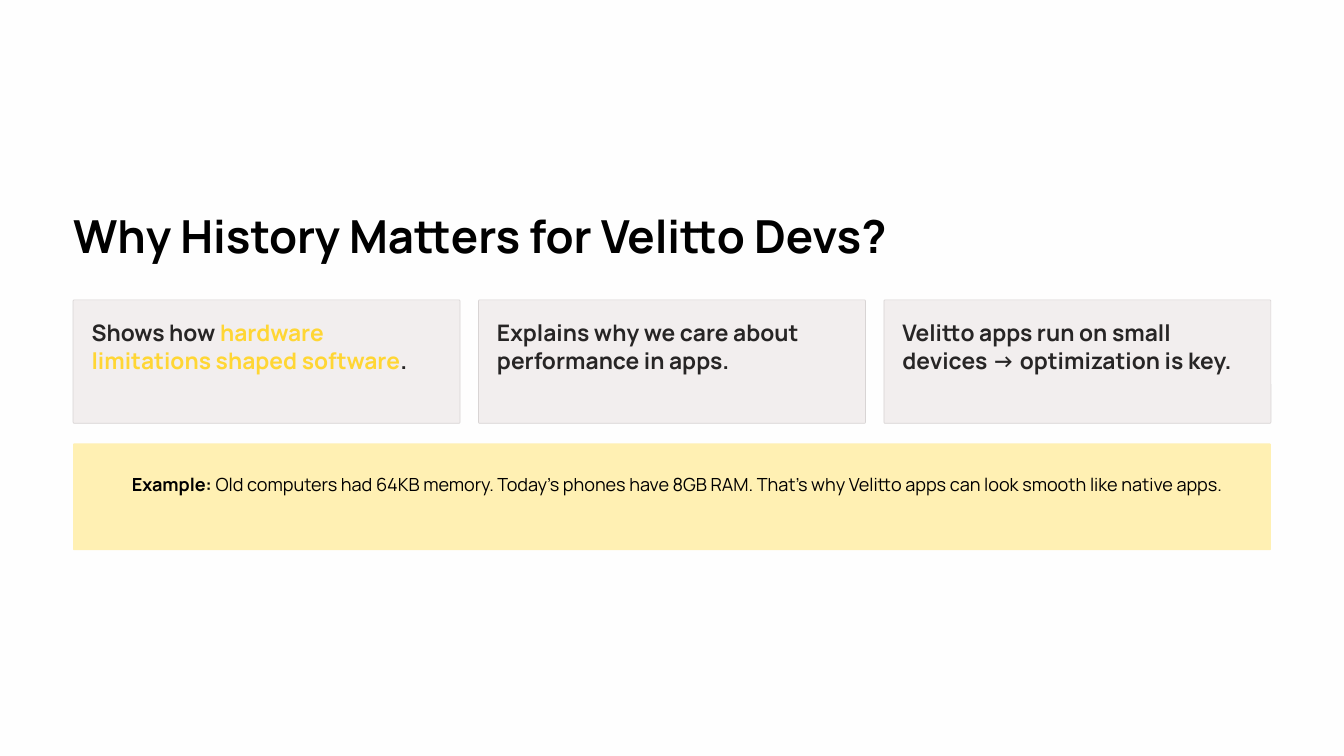
from pptx import Presentation
from pptx.dml.color import RGBColor
from pptx.enum.shapes import MSO_SHAPE
from pptx.enum.text import MSO_ANCHOR, PP_ALIGN
from pptx.util import Inches, Pt

ROUNDED = MSO_SHAPE.ROUNDED_RECTANGLE
TOP = MSO_ANCHOR.TOP
LEFT = PP_ALIGN.LEFT

FONT = "Manrope"
BLACK, INK, YELLOW = "000000", "272525", "FFD634"
MARGIN, CONTENT_WIDTH = 0.87, 14.26
CARD_GAP = 0.22

TITLE = "Why History Matters for Velitto Devs?"
CARDS = [
    [("Shows how ", INK), ("hardware limitations shaped software", YELLOW), (".", INK)],
    [("Explains why we care about performance in apps.", INK)],
    [("Velitto apps run on small devices → optimization is key.", INK)],
]
EXAMPLE = [
    ("Example:", BLACK, True),
    (" Old computers had 64KB memory. Today's phones have 8GB RAM. "
     "That's why Velitto apps can look smooth like native apps.", BLACK, False),
]


def color(hex_code):
    return RGBColor.from_string(hex_code)


def add_text(page, box, spans, size, line_height, wrap=True):
    """Place one paragraph of (text, colour, bold) spans in the box."""
    frame = page.shapes.add_textbox(*map(Inches, box)).text_frame
    frame.margin_left = frame.margin_right = 0
    frame.margin_top = frame.margin_bottom = 0
    frame.word_wrap = wrap
    frame.vertical_anchor = TOP
    para = frame.paragraphs[0]
    para.alignment = LEFT
    para.line_spacing = Pt(line_height)
    for text, hex_code, bold in spans:
        span = para.add_run()
        span.text = text
        span.font.name = FONT
        span.font.size = Pt(size)
        span.font.bold = bold
        span.font.color.rgb = color(hex_code)


def add_panel(page, box, fill, line=None):
    panel = page.shapes.add_shape(ROUNDED, *map(Inches, box))
    panel.adjustments[0] = 0.01
    panel.shadow.inherit = False
    panel.fill.solid()
    panel.fill.fore_color.rgb = color(fill)
    if line:
        panel.line.color.rgb = color(line)
        panel.line.width = Pt(0.6)
    else:
        panel.line.fill.background()


def add_title(page, box):
    add_text(page, box, [(TITLE, BLACK, True)], 39, 48.5, wrap=False)


def add_cards(page, box):
    left, top, width, height = box
    card_width = (width - CARD_GAP * (len(CARDS) - 1)) / len(CARDS)
    for index, card in enumerate(CARDS):
        x = left + index * (card_width + CARD_GAP)
        add_panel(page, (x, top, card_width, height), "F2EEEE", "D8D4D4")
        spans = [(text, hex_code, True) for text, hex_code in card]
        text_box = (x + 0.22, top + 0.22, card_width - 0.44, height - 0.45)
        add_text(page, text_box, spans, 19.5, 24)


def add_example(page, box):
    left, top, width, height = box
    add_panel(page, box, "FFF0B3")
    text_box = (left + 0.7, top + 0.27, width - 0.92, height - 0.58)
    add_text(page, text_box, EXAMPLE, 15.5, 25)


def main():
    deck = Presentation()
    deck.slide_width, deck.slide_height = Inches(16), Inches(9)
    page = deck.slides.add_slide(deck.slide_layouts[6])

    # Background
    page.background.fill.solid()
    page.background.fill.fore_color.rgb = color("FEFEFE")

    # Title, three reasons, example banner
    add_title(page, (MARGIN, 2.45, 10.3, 0.68))
    add_cards(page, (MARGIN, 3.57, CONTENT_WIDTH, 1.47))
    add_example(page, (MARGIN, 5.28, CONTENT_WIDTH, 1.27))

    deck.save("out.pptx")


if __name__ == "__main__":
    main()
